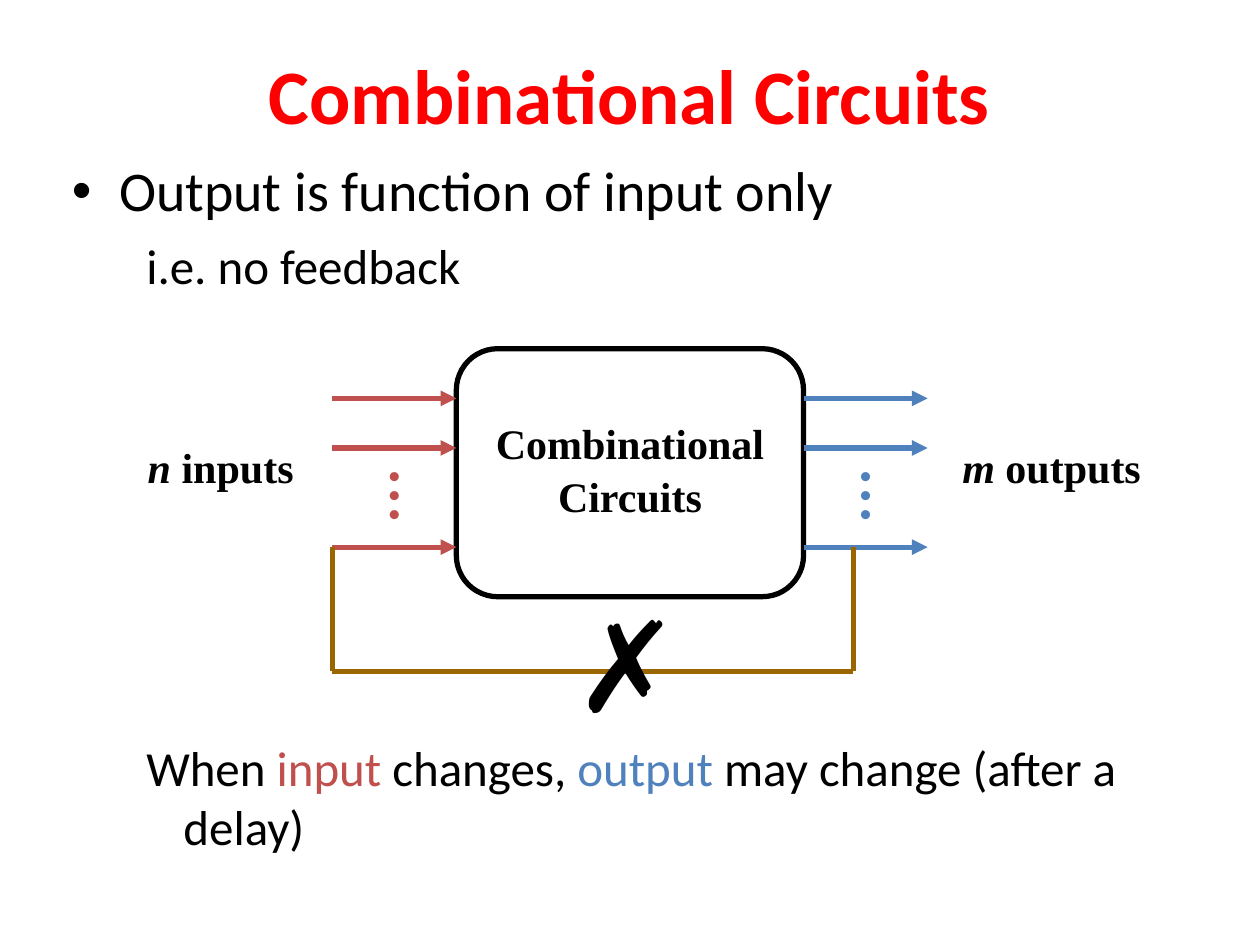
import dataclasses

import pptx
import pptx.dml.color
import pptx.enum.shapes
import pptx.enum.text
import pptx.oxml
import pptx.oxml.ns
import pptx.util

Cm = pptx.util.Cm
Pt = pptx.util.Pt
ALIGN = pptx.enum.text.PP_ALIGN
ANCHOR = pptx.enum.text.MSO_ANCHOR
NS = pptx.oxml.ns.nsdecls("a")


@dataclasses.dataclass(frozen=True)
class Theme:
    title: str = "FF0000"
    ink: str = "000000"
    input: str = "C0504D"
    output: str = "4F81BD"
    loop: str = "996600"
    sans: str = "Calibri"
    serif: str = "Times New Roman"
    mark: str = "Arial"
    head: int = 44
    lead: int = 32
    body: int = 28
    label: int = 24
    dot: int = 18
    cross: int = 72
    line: int = 3


theme = Theme()


def rgb(color):
    return pptx.dml.color.RGBColor.from_string(color)


def style(font, face, size, color, bold=False):
    font.name = face
    font.size = Pt(size)
    font.bold = bold
    font.color.rgb = rgb(color)


def add_box(slide, left, top, width, height, inset=True):
    box = slide.shapes.add_textbox(Cm(left), Cm(top), Cm(width), Cm(height))
    frame = box.text_frame
    frame.word_wrap = True
    if not inset:
        frame.margin_left = frame.margin_right = 0
        frame.margin_top = frame.margin_bottom = 0
    return frame


def indent(para, left, hang, bullet=None):
    props = para._p.get_or_add_pPr()
    props.set("marL", str(Cm(left)))
    props.set("indent", str(-Cm(hang)))
    if bullet:
        props.append(pptx.oxml.parse_xml(f'<a:buFont {NS} typeface="Arial"/>'))
        props.append(pptx.oxml.parse_xml(f'<a:buChar {NS} char="{bullet}"/>'))
    else:
        props.append(pptx.oxml.parse_xml(f"<a:buNone {NS}/>"))


def add_title(slide, text):
    title = slide.shapes.title
    title.left, title.top = Cm(1.27), Cm(0.76)
    title.width, title.height = Cm(22.86), Cm(2.26)
    frame = title.text_frame
    frame.text = text
    frame.auto_size = pptx.enum.text.MSO_AUTO_SIZE.NONE
    frame.vertical_anchor = ANCHOR.MIDDLE
    para = frame.paragraphs[0]
    para.alignment = ALIGN.CENTER
    style(para.runs[0].font, theme.sans, theme.head, theme.title, True)


def add_lead(slide, point, detail):
    frame = add_box(slide, 1.2, 3.02, 23, 3.2)
    frame.text = f"{point}\n{detail}"
    first, second = frame.paragraphs
    indent(first, 0.95, 0.95, "•")
    indent(second, 2.25, 0.75)
    second.space_before = Pt(7)
    style(first.runs[0].font, theme.sans, theme.lead, theme.ink)
    style(second.runs[0].font, theme.sans, theme.body, theme.ink)


def add_note(slide, parts):
    para = add_box(slide, 1.2, 14.75, 23, 2.8).paragraphs[0]
    indent(para, 2.25, 0.75)
    for text, color in parts:
        run = para.add_run()
        run.text = text
        style(run.font, theme.sans, theme.body, color)


def add_block(slide, left, top, width, height, text):
    block = slide.shapes.add_shape(
        pptx.enum.shapes.MSO_SHAPE.ROUNDED_RECTANGLE,
        Cm(left), Cm(top), Cm(width), Cm(height))
    block.shadow.inherit = False
    block.fill.background()
    block.line.color.rgb = rgb(theme.ink)
    block.line.width = Pt(theme.line)
    frame = block.text_frame
    frame.word_wrap = True
    frame.vertical_anchor = ANCHOR.MIDDLE
    frame.text = text
    for para in frame.paragraphs:
        para.alignment = ALIGN.CENTER
        para.line_spacing = 0.9
        style(para.runs[0].font, theme.serif, theme.label, theme.ink, True)
    frame.paragraphs[-1].space_before = Pt(4.5)


def add_line(slide, start, end, color, arrow=False):
    line = slide.shapes.add_connector(
        pptx.enum.shapes.MSO_CONNECTOR.STRAIGHT,
        Cm(start[0]), Cm(start[1]), Cm(end[0]), Cm(end[1]))
    line.line.color.rgb = rgb(color)
    line.line.width = Pt(theme.line)
    if arrow:
        line.line._get_or_add_ln().append(
            pptx.oxml.parse_xml(f'<a:tailEnd {NS} type="triangle"/>'))
    line._element.spPr.append(pptx.oxml.parse_xml(f"<a:effectLst {NS}/>"))


def add_dots(slide, mid, top, color):
    frame = add_box(slide, mid - 0.25, top, 0.5, 1.15, inset=False)
    frame.text = "•\n•\n•"
    for para in frame.paragraphs:
        para.alignment = ALIGN.CENTER
        para.line_spacing = 0.5
        style(para.runs[0].font, theme.mark, theme.dot, color, True)


def add_label(slide, left, width, count, noun):
    para = add_box(slide, left, 9.02, width, 0.9, inset=False).paragraphs[0]
    para.alignment = ALIGN.CENTER
    para.line_spacing = 0.9
    for text in (count, f" {noun}"):
        run = para.add_run()
        run.text = text
        style(run.font, theme.serif, theme.label, theme.ink, True)
        run.font.italic = text == count


def add_cross(slide, left, top):
    frame = add_box(slide, left, top, 2.5, 2.75, inset=False)
    frame.text = "✗"
    para = frame.paragraphs[0]
    para.alignment = ALIGN.CENTER
    para.line_spacing = 0.9
    style(para.runs[0].font, theme.mark, theme.cross, theme.ink, True)


def main():
    deck = pptx.Presentation()
    deck.slide_width, deck.slide_height = Cm(25.4), Cm(19.05)
    slide = deck.slides.add_slide(deck.slide_layouts[5])

    add_title(slide, "Combinational Circuits")
    add_lead(slide, "Output is function of input only", "i.e. no feedback")
    add_note(slide, [
        ("When ", theme.ink), ("input", theme.input),
        (" changes, ", theme.ink), ("output", theme.output),
        (" may change (after a delay)", theme.ink)])

    left, top, width, height, reach = 9.2, 7.03, 7, 5, 2.5
    right = left + width
    rows = [top + step for step in (1, 2, 4)]
    add_block(slide, left, top, width, height, "Combinational\nCircuits")
    for start, color in ((left - reach, theme.input), (right, theme.output)):
        for row in rows:
            add_line(slide, (start, row), (start + reach, row), color, True)
        add_dots(slide, start + reach / 2, top + 2.5, color)
    add_label(slide, 2.7, 3.5, "n", "inputs")
    add_label(slide, 19.2, 4, "m", "outputs")

    tap, back, low = right + 1, left - reach, top + 6.5
    loop = [(tap, rows[-1]), (tap, low), (back, low), (back, rows[-1])]
    for start, end in zip(loop, loop[1:]):
        add_line(slide, start, end, theme.loop)
    add_cross(slide, 11.4, 12.17)

    deck.save("out.pptx")


if __name__ == "__main__":
    main()
